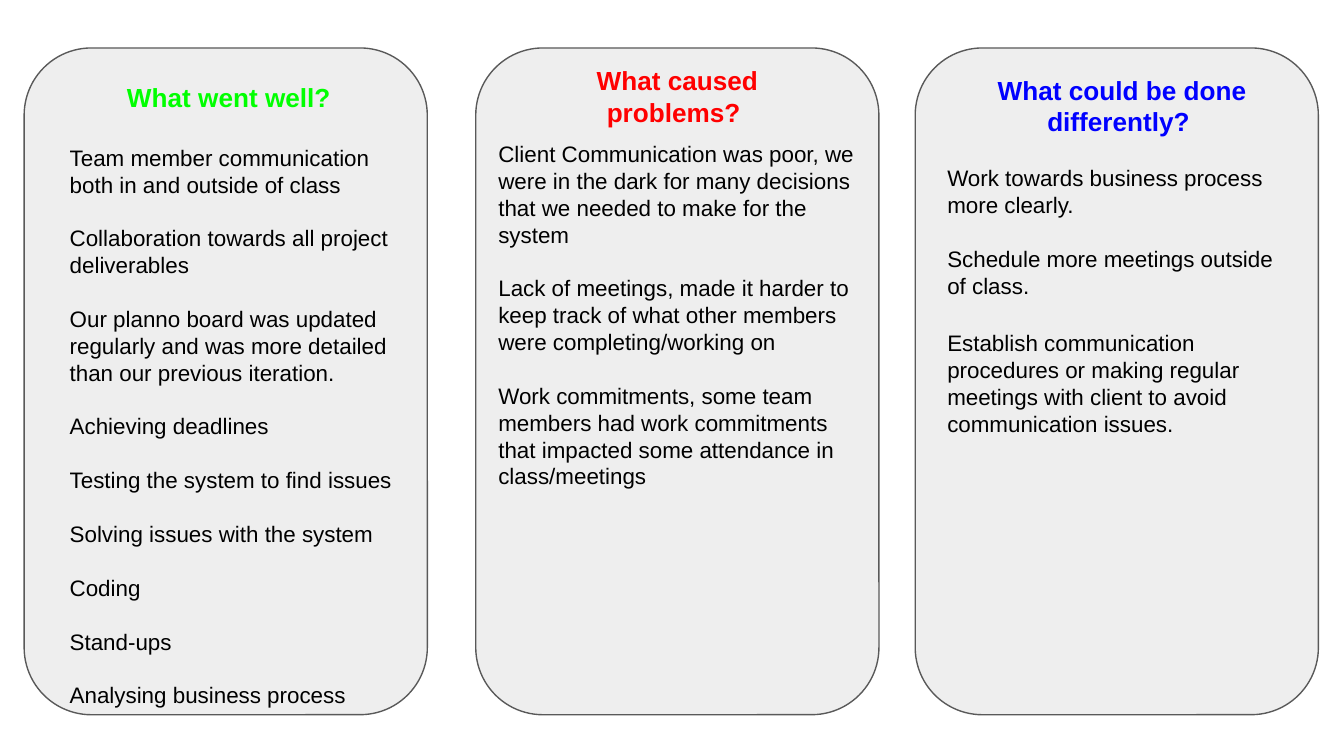
from pptx import Presentation, util as u
from pptx.dml import color
from pptx.enum import shapes, text

WIDTH = u.Inches(10)
HEIGHT = WIDTH * 9 // 16
PANEL_TOP, PANEL_WIDTH, PANEL_HEIGHT = 6.35, 30, 88.2
HEADING_WIDTH = 21.8
BODY_SIZE, BODY_GAP = 12, 14.4

COLUMNS = [
    {
        "left": 1.8,
        "heading": ("What went well? ", "00FF00", (6.4, 8.95, HEADING_WIDTH, 7.8)),
        "bodies": [((4.2, 17.25, 26.2, 86.2), [
            "Team member communication both in and outside of class",
            "Collaboration towards all project deliverables",
            "Our planno board was updated regularly and was more detailed than our previous iteration.",
            "Achieving deadlines",
            "Testing the system to find issues",
            "Solving issues with the system",
            "Coding",
            "Stand-ups",
            "Analysing business process",
        ])],
    },
    {
        "left": 35.4,
        "heading": ("What caused problems? ", "FF0000", (39.5, 6.8, HEADING_WIDTH, 11.9)),
        "bodies": [((36.1, 16.75, 28.7, 57.4), [
            "Client Communication was poor, we were in the dark for many decisions that we needed to make for the system",
            "Lack of meetings, made it harder to keep track of what other members were completing/working on",
            "Work commitments, some team members had work commitments that impacted some attendance in class/meetings",
        ])],
    },
    {
        "left": 68.1,
        "heading": ("What could be done differently? ", "0000FF", (72.6, 8, HEADING_WIDTH, 11.9)),
        "bodies": [
            ((69.5, 19.95, 27.4, 39.3), [
                "Work towards business process more clearly.",
                "Schedule more meetings outside of class.",
            ]),
            ((69.5, 41.8, 27.4, 18), [
                "Establish communication procedures or making regular meetings with client to avoid communication issues.",
            ]),
        ],
    },
]


def rgb(value):
    return color.RGBColor.from_string(value)


def place(left, top, width, height):
    scales = (WIDTH, HEIGHT, WIDTH, HEIGHT)
    return [round(scale * share / 100) for scale, share in zip(scales, (left, top, width, height))]


def add_panel(page, left):
    panel = page.shapes.add_shape(
        shapes.MSO_SHAPE.ROUNDED_RECTANGLE, *place(left, PANEL_TOP, PANEL_WIDTH, PANEL_HEIGHT))
    panel.shadow.inherit = False
    panel.fill.solid()
    panel.fill.fore_color.rgb = rgb("EEEEEE")
    panel.line.color.rgb = rgb("595959")
    panel.line.width = u.Pt(0.75)


def add_text(page, area, lines, size, tint, bold=False, align=text.PP_ALIGN.LEFT):
    frame = page.shapes.add_textbox(*place(*area)).text_frame
    frame.word_wrap = True
    frame.auto_size = text.MSO_AUTO_SIZE.SHAPE_TO_FIT_TEXT
    frame.margin_left = frame.margin_right = u.Inches(0.1)
    frame.margin_top = frame.margin_bottom = u.Inches(0.1)
    for index, line in enumerate(lines):
        para = frame.add_paragraph() if index else frame.paragraphs[0]
        para.text = line
        para.alignment = align
        para.space_before = u.Pt(BODY_GAP if index else 0)
        para.font.name = "Arial"
        para.font.size = u.Pt(size)
        para.font.bold = bold
        para.font.color.rgb = rgb(tint)


def main():
    deck = Presentation()
    deck.slide_width, deck.slide_height = WIDTH, HEIGHT
    page = deck.slides.add_slide(deck.slide_layouts[6])
    for column in COLUMNS:
        add_panel(page, column["left"])
        heading, tint, area = column["heading"]
        add_text(page, area, [heading], 14, tint, True, text.PP_ALIGN.CENTER)
        for area, lines in column["bodies"]:
            add_text(page, area, lines, BODY_SIZE, "000000")
    deck.save("out.pptx")


if __name__ == "__main__":
    main()
